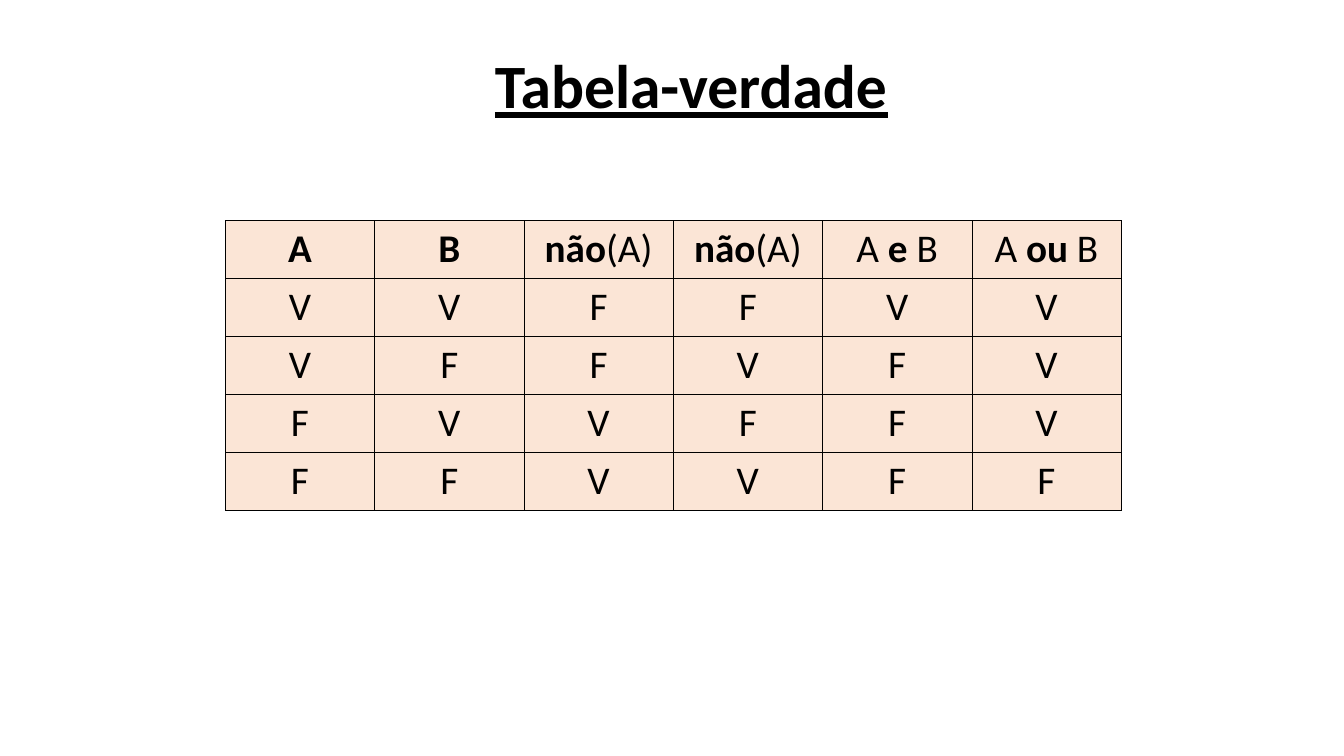
"""Build a slide with the truth table of the basic logical operators."""
from dataclasses import dataclass

from lxml.etree import SubElement
from pptx import Presentation
from pptx.dml.color import RGBColor
from pptx.enum.text import MSO_ANCHOR, MSO_AUTO_SIZE, PP_ALIGN
from pptx.oxml.ns import qn
from pptx.shapes.autoshape import Shape
from pptx.slide import Slide
from pptx.table import _Cell
from pptx.text.text import _Paragraph
from pptx.util import Pt


@dataclass(frozen=True)
class Theme:
    font: str = "Calibri"
    ink: str = "000000"
    peach: str = "FBE5D6"
    head: float = 44
    body: float = 28
    rule: float = 0.45


@dataclass(frozen=True)
class Box:
    left: float
    top: float
    width: float
    height: float


@dataclass(frozen=True)
class Piece:
    text: str
    bold: bool = False
    under: bool = False


THEME = Theme()
TITLE = Box(80, 27.4, 828, 72)
GRID = Box(161, 157.5, 640.2, 207)
NOT_A = [Piece("não", True), Piece("(A)")]
HEADS = [
    [Piece("A", True)],
    [Piece("B", True)],
    NOT_A,
    NOT_A,
    [Piece("A "), Piece("e", True), Piece(" B")],
    [Piece("A "), Piece("ou", True), Piece(" B")],
]
TRUTHS = ["VVFFVV", "VFFVFV", "FVVFFV", "FFVVFF"]


def write(para: _Paragraph, pieces: list[Piece], size: float) -> None:
    para.alignment = PP_ALIGN.CENTER
    for piece in pieces:
        run = para.add_run()
        run.text = piece.text
        font = run.font
        font.name = THEME.font
        font.size = Pt(size)
        font.bold = piece.bold
        font.underline = piece.under
        font.color.rgb = RGBColor.from_string(THEME.ink)


def draw_title(shape: Shape, box: Box) -> None:
    shape.left, shape.top = Pt(box.left), Pt(box.top)
    shape.width, shape.height = Pt(box.width), Pt(box.height)
    frame = shape.text_frame
    frame.auto_size = MSO_AUTO_SIZE.NONE
    frame.vertical_anchor = MSO_ANCHOR.MIDDLE
    para = frame.paragraphs[0]
    para.line_spacing = 0.9
    write(para, [Piece("Tabela-verdade", True, True)], THEME.head)


def style_cell(cell: _Cell) -> None:
    props = cell._tc.get_or_add_tcPr()
    for side in ("a:lnL", "a:lnR", "a:lnT", "a:lnB"):
        line = SubElement(props, qn(side), w=str(Pt(THEME.rule)))
        fill = SubElement(line, qn("a:solidFill"))
        SubElement(fill, qn("a:srgbClr"), val=THEME.ink)
    cell.fill.solid()
    cell.fill.fore_color.rgb = RGBColor.from_string(THEME.peach)


def draw_table(slide: Slide, box: Box) -> None:
    rows = [HEADS] + [[[Piece(mark)] for mark in marks] for marks in TRUTHS]
    frame = slide.shapes.add_table(
        len(rows), len(HEADS),
        Pt(box.left), Pt(box.top), Pt(box.width), Pt(box.height),
    )
    table = frame.table
    table.first_row = False
    table.horz_banding = False
    for r, row in enumerate(rows):
        for c, pieces in enumerate(row):
            cell = table.cell(r, c)
            style_cell(cell)
            write(cell.text_frame.paragraphs[0], pieces, THEME.body)


def main() -> None:
    deck = Presentation()
    deck.slide_width, deck.slide_height = Pt(960.48), Pt(540)
    slide = deck.slides.add_slide(deck.slide_layouts.get_by_name("Title Only"))
    draw_table(slide, GRID)
    draw_title(slide.shapes.title, TITLE)
    deck.save("out.pptx")


if __name__ == "__main__":
    main()
